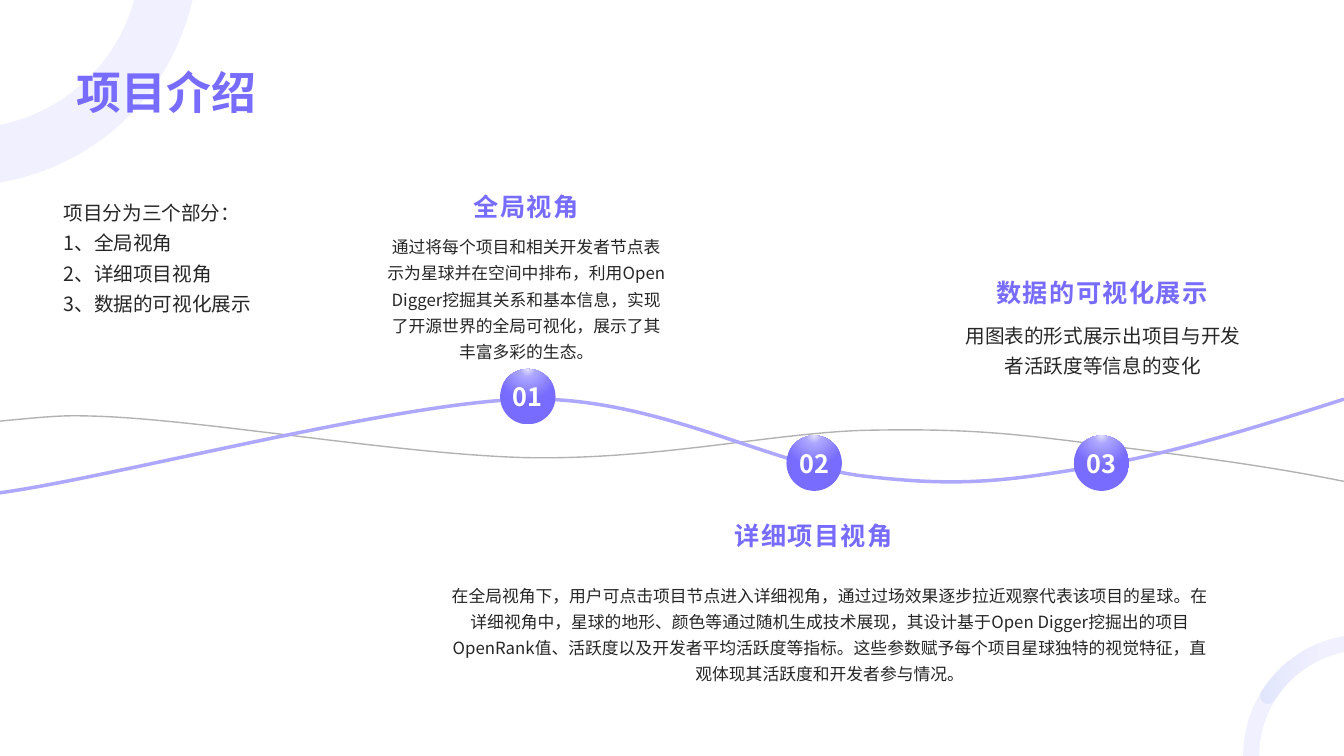
from math import cos, radians, sin

from pptx import Presentation
from pptx.dml.color import RGBColor
from pptx.enum import shapes as kinds, text as t
from pptx.oxml import parse_xml
from pptx.oxml.ns import nsdecls, qn
from pptx.util import Pt

PX = 9144  # one hundredth of an inch
FONT = "Noto Sans CJK SC"
VIOLET = RGBColor(0x77, 0x6C, 0xFD)
LILAC = RGBColor(0xAD, 0xA7, 0xFE)
BLUE = RGBColor(0x5D, 0x95, 0xF1)
GRAY = RGBColor(0x80, 0x80, 0x80)
INK = RGBColor(0x26, 0x26, 0x26)
WHITE = RGBColor(0xFF, 0xFF, 0xFF)
LEFT, MID = t.PP_ALIGN.LEFT, t.PP_ALIGN.CENTER

GLOW = f"""<a:gradFill {nsdecls("a")} rotWithShape="1"><a:gsLst>
<a:gs pos="0"><a:srgbClr val="E4E2FF"/></a:gs>
<a:gs pos="21000"><a:srgbClr val="{LILAC}"/></a:gs>
<a:gs pos="80000"><a:srgbClr val="{VIOLET}"/></a:gs></a:gsLst>
<a:path path="circle"><a:fillToRect l="50000" t="-80000" r="50000" b="180000"/></a:path>
</a:gradFill>"""


def trace(box, parts, close=False, turn=0):
    """Draw an outline in a box; 2 numbers make a line, 6 a Bezier curve."""
    x, y, w, h = box
    pen = slide.shapes.build_freeform(x * PX, y * PX)
    pen.add_line_segments([((x + w) * PX, (y + h) * PX)], close=False)
    shape = pen.convert_to_shape()
    shape.shadow.inherit = False
    shape.rotation = turn
    c, s = cos(radians(turn)), sin(radians(turn))
    body = ""
    for i, part in enumerate(parts):
        tag = "moveTo" if i == 0 else "lnTo" if len(part) == 2 else "cubicBezTo"
        spots = ""
        for px, py in zip(part[::2], part[1::2]):
            dx, dy = px - x - w / 2, py - y - h / 2
            spots += (f'<a:pt x="{round((w / 2 + c * dx + s * dy) * PX)}" '
                      f'y="{round((h / 2 - s * dx + c * dy) * PX)}"/>')
        body += f"<a:{tag}>{spots}</a:{tag}>"
    body += "<a:close/>" if close else ""
    old = next(shape._element.spPr.iter(qn("a:path")))
    old.getparent().replace(old, parse_xml(
        f'<a:path {nsdecls("a")} w="{w * PX}" h="{h * PX}">{body}</a:path>'))
    return shape


def write(shape, words, size, color, bold=False, align=MID, space=None,
          anchor=t.MSO_ANCHOR.MIDDLE, wrap=True, track=0):
    frame = shape.text_frame
    frame.text = words
    frame.word_wrap = wrap
    frame.auto_size = t.MSO_AUTO_SIZE.NONE
    frame.vertical_anchor = anchor
    frame.margin_left = frame.margin_top = frame.margin_right = frame.margin_bottom = 0
    for para in frame.paragraphs:
        para.alignment = align
        para.line_spacing = space
        font = para.font
        font.name, font.size, font.bold = FONT, Pt(size), bold
        font.color.rgb = color
        props = para._p.pPr.find(qn("a:defRPr"))
        props.set("spc", str(track * 100))
        props.find(qn("a:latin")).addnext(
            parse_xml(f'<a:ea {nsdecls("a")} typeface="{FONT}"/>'))


deck = Presentation()
deck.slide_width, deck.slide_height = 1333 * PX, 750 * PX
slide = deck.slides.add_slide(deck.slide_layouts[5])

# Corner rings
ring = trace((0, 0, 191, 181),
             [(0, 124), (42, 115, 80, 92, 107, 55), (119, 38, 128, 19, 133, 0), (191, 0),
              (184, 30, 171, 60, 152, 87), (114, 139, 59, 171, 0, 181), (0, 124)], True)
bow = trace((1233, 631, 100, 119),
            [(1333, 631), (1276, 641, 1233, 690, 1233, 750), (1249, 750),
             (1249, 699, 1285, 657, 1333, 647), (1333, 631)], True)
sheen = trace((1250, 631, 83, 66),
              [(1333, 631), (1333, 647), (1304, 653, 1280, 670, 1264, 694),
               (1262, 698, 1257, 699, 1254, 697), (1250, 694, 1249, 689, 1251, 686),
               (1269, 657, 1299, 637, 1333, 631)], True)
for arc in (ring, bow):
    arc.fill.solid()
    arc.fill.fore_color.rgb = VIOLET
sheen.fill.gradient()
sheen.fill.gradient_angle = 359
for stop, place in zip(sheen.fill.gradient_stops, (0, 0.7)):
    stop.color.rgb, stop.position = BLUE, place
for arc in (ring, bow, sheen):
    arc.line.fill.background()

# Title, in front of the rings
title = slide.shapes.title
title.left, title.top, title.width, title.height = (n * PX for n in (76, 39, 1181, 79))
write(title, "项目介绍", 32, VIOLET, True, LEFT, anchor=t.MSO_ANCHOR.BOTTOM)
slide.shapes._spTree.append(title._element)

# Waves
thin = trace((-2, 412, 1337, 66),
             [(-2, 418), (60, 412, 65, 412, 98, 413), (205, 417, 391, 450, 519, 454),
              (647, 457, 764, 430, 856, 427), (949, 425, 995, 429, 1074, 439),
              (1152, 449, 1247, 460, 1335, 478)])
thick = trace((4, 346, 1324, 194),
              [(-1, 489), (106, 475, 393, 399, 521, 396), (649, 393, 762, 460, 854, 472),
               (946, 483, 992, 478, 1072, 465), (1152, 453, 1243, 425, 1333, 396)], turn=4.4)
for wave, color, width in ((thin, GRAY, 1), (thick, LILAC, 2.5)):
    wave.fill.background()
    wave.line.color.rgb, wave.line.width = color, Pt(width)

# Opacity in percent, one value for each colour
for shape, alphas in ((ring, [10]), (bow, [10]), (sheen, [10, 0]), (thin, [60])):
    for tint, alpha in zip(shape._element.spPr.iter(qn("a:srgbClr")), alphas):
        tint.append(parse_xml(f'<a:alpha {nsdecls("a")} val="{alpha * 1000}"/>'))

# Text: left, top, width, height, size, alignment, words
notes = [
    (63, 192, 282, 110, 14, LEFT,
     "项目分为三个部分：\n1、全局视角\n2、详细项目视角\n3、数据的可视化展示"),
    (381, 229, 282, 110, 12, MID,
     "通过将每个项目和相关开发者节点表示为星球并在空间中排布，利用Open Digger挖掘其关系和"
     "基本信息，实现了开源世界的全局可视化，展示了其丰富多彩的生态。"),
    (442, 575, 762, 85, 12, MID,
     "在全局视角下，用户可点击项目节点进入详细视角，通过过场效果逐步拉近观察代表该项目的星球。"
     "在详细视角中，星球的地形、颜色等通过随机生成技术展现，其设计基于Open Digger挖掘出的项目"
     "OpenRank值、活跃度以及开发者平均活跃度等指标。这些参数赋予每个项目星球独特的视觉特征，"
     "直观体现其活跃度和开发者参与情况。"),
    (953, 314, 282, 110, 14, MID, "用图表的形式展示出项目与开发者活跃度等信息的变化"),
]
for x, y, w, h, size, align, words in notes:
    box = slide.shapes.add_textbox(x * PX, y * PX, w * PX, h * PX)
    write(box, words, size, INK, align=align, space=1.3, anchor=t.MSO_ANCHOR.TOP)

# Headings and their numbered balls: heading left, top, ball left, top
steps = [("全局视角", 381, 184, 496, 366),
         ("详细项目视角", 666, 510, 780, 432),
         ("数据的可视化展示", 952, 269, 1065, 432)]
for num, (name, x, y, bx, by) in enumerate(steps, 1):
    head = slide.shapes.add_shape(kinds.MSO_SHAPE.ROUNDED_RECTANGLE,
                                  x * PX, y * PX, 282 * PX, 42 * PX)
    head.adjustments[0] = 0.5
    write(head, name, 18, VIOLET, True, track=1)
    ball = slide.shapes.add_shape(kinds.MSO_SHAPE.OVAL, bx * PX, by * PX, 55 * PX, 55 * PX)
    write(ball, f"{num:02}", 18, WHITE, True, wrap=False)
    for shape in (head, ball):
        shape.shadow.inherit = False
        shape.fill.background()
        shape.line.fill.background()
    props = ball._element.spPr
    props.replace(props.find(qn("a:noFill")), parse_xml(GLOW))

deck.save("out.pptx")
